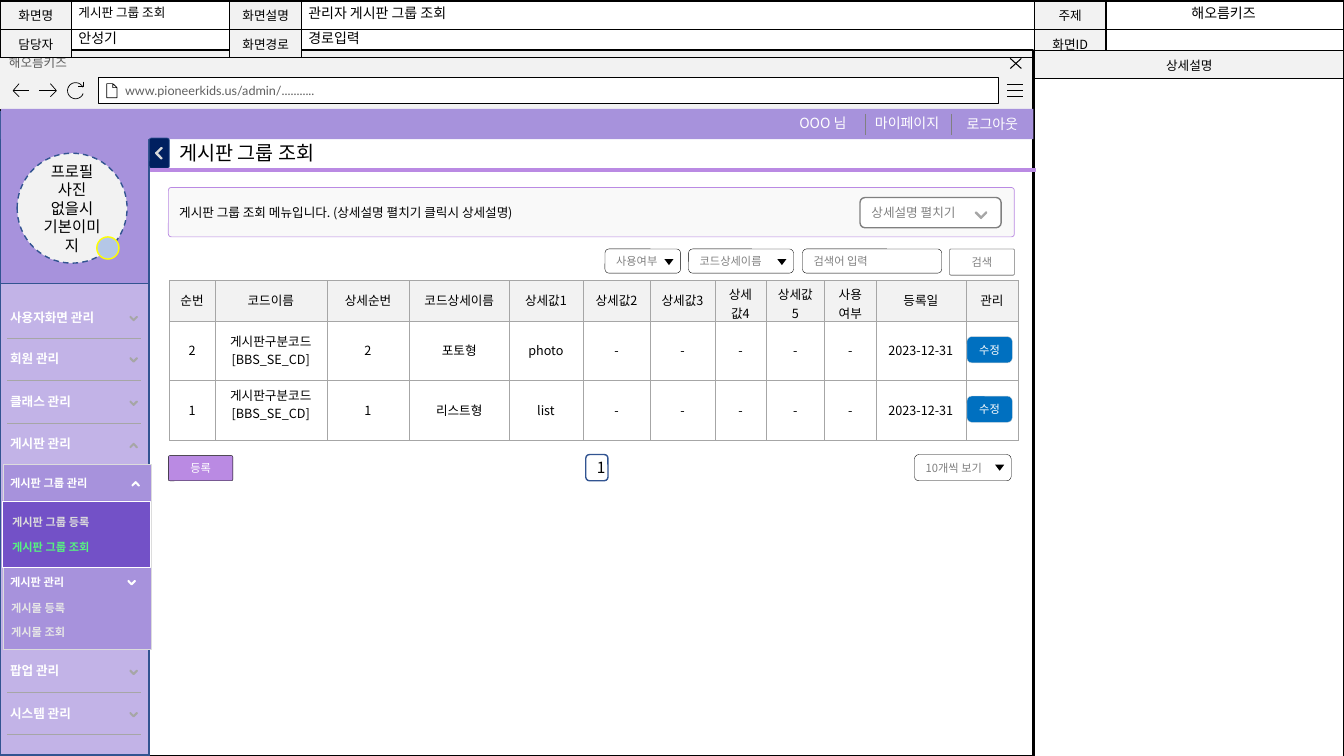
from dataclasses import dataclass
from math import cos, radians, sin
from typing import Optional

from pptx import Presentation
from pptx.dml.color import RGBColor
from pptx.enum.dml import MSO_LINE
from pptx.enum.shapes import MSO_CONNECTOR, MSO_SHAPE
from pptx.enum.text import MSO_ANCHOR, PP_ALIGN
from pptx.oxml.ns import qn
from pptx.oxml.xmlchemy import OxmlElement
from pptx.util import Inches, Pt

COLORS = {
    "black": "000000", "white": "FFFFFF", "panel": "F2F2F2", "notice": "F9F9F9",
    "dim": "5F5F5F", "gray": "808080", "rule": "A6A6A6", "chevron": "BFBFBF",
    "pale": "D9D9D9", "soft": "DCDCDC", "submenu": "E6E6E6", "navy": "002060",
    "outline": "325491", "purple": "A792DC", "lilac": "C2B3E7", "deep": "7351C7",
    "accent": "BA8AE3", "green": "57F380", "blue": "0070C0", "badge": "B4C7E7",
    "yellow": "FFFF00",
}
KOREAN = "Noto Sans CJK KR"
RECT, ROUND, OVAL = MSO_SHAPE.RECTANGLE, MSO_SHAPE.ROUNDED_RECTANGLE, MSO_SHAPE.OVAL
CHEVRON, TRIANGLE = MSO_SHAPE.CORNER, MSO_SHAPE.ISOSCELES_TRIANGLE
DOWN, UP, BACK = 315, 137, 46


@dataclass
class Style:
    size: float = 9
    color: str = "black"
    bold: bool = False
    align: PP_ALIGN = PP_ALIGN.LEFT
    anchor: MSO_ANCHOR = MSO_ANCHOR.MIDDLE
    font: str = KOREAN
    left_inset: float = 0.1


@dataclass
class Box:
    """A preset shape, or a plain text box when kind is None."""
    left: float
    top: float
    width: float
    height: float
    kind: Optional[MSO_SHAPE] = RECT
    fill: Optional[str] = None
    line: Optional[str] = None
    weight: float = 0.25
    text: str = ""
    style: Optional[Style] = None
    radius: Optional[float] = None
    rotation: float = 0
    dashed: bool = False


def rgb(name: str) -> RGBColor:
    return RGBColor.from_string(COLORS[name])


def write_text(frame, text: str, style: Style) -> None:
    for index, content in enumerate(text.split("\n")):
        paragraph = frame.paragraphs[0] if index == 0 else frame.add_paragraph()
        paragraph.alignment = style.align
        if not content:
            paragraph._p.append(OxmlElement("a:endParaRPr"))
            paragraph._p[-1].set("sz", str(int(style.size * 100)))
            continue
        run = paragraph.add_run()
        run.text = content
        run.font.size, run.font.bold = Pt(style.size), style.bold
        run.font.name = style.font
        run.font.color.rgb = rgb(style.color)
        east_asian = OxmlElement("a:ea")
        east_asian.set("typeface", style.font)
        run._r.rPr.find(qn("a:latin")).addnext(east_asian)


def draw_box(slide, box: Box) -> None:
    place = [Inches(n) for n in (box.left, box.top, box.width, box.height)]
    if box.kind is None:
        shape = slide.shapes.add_textbox(*place)
    else:
        shape = slide.shapes.add_shape(box.kind, *place)
        shape.shadow.inherit = False
        if box.fill:
            shape.fill.solid()
            shape.fill.fore_color.rgb = rgb(box.fill)
        if box.line:
            shape.line.color.rgb = rgb(box.line)
            shape.line.width = Pt(box.weight)
            if box.dashed:
                shape.line.dash_style = MSO_LINE.DASH
        else:
            shape.line.fill.background()
        if box.radius is not None:
            for index in range(len(shape.adjustments)):
                shape.adjustments[index] = box.radius
        shape.rotation = box.rotation
    if box.text:
        frame = shape.text_frame
        frame.word_wrap = True
        frame.vertical_anchor = box.style.anchor
        frame.margin_left = Inches(box.style.left_inset)
        write_text(frame, box.text, box.style)


def draw_label(slide, left, top, width, height, text: str, style: Style) -> None:
    draw_box(slide, Box(left, top, width, height, None, text=text, style=style))


def draw_chevron(slide, left, top, rotation, line="rule", size=0.05) -> None:
    draw_box(slide, Box(left, top, size, size, CHEVRON, "chevron", line, 1,
                        radius=0.12, rotation=rotation))


def draw_rule(slide, x1, y1, x2, y2, color: str) -> None:
    ends = [Inches(n) for n in (x1, y1, x2, y2)]
    connector = slide.shapes.add_connector(MSO_CONNECTOR.STRAIGHT, *ends)
    connector.line.color.rgb, connector.line.width = rgb(color), Pt(0.5)
    connector._element.spPr.append(OxmlElement("a:effectLst"))


def draw_icon(slide, strokes: list, weight: float = 0.5) -> None:
    """Draw several open strokes as one outline."""
    points = [[(Inches(x), Inches(y)) for x, y in stroke] for stroke in strokes]
    builder = slide.shapes.build_freeform(*points[0][0], scale=1.0)
    for index, stroke in enumerate(points):
        if index:
            builder.move_to(*stroke[0])
        builder.add_line_segments(stroke[1:], close=False)
    shape = builder.convert_to_shape()
    shape.shadow.inherit = False
    shape.fill.background()
    shape.line.color.rgb, shape.line.width = rgb("black"), Pt(weight)


def draw_table(slide, left, top, columns, heights, rows, style: Style,
               border: str, weight: float, fill_of):
    """fill_of(row, column) gives a colour name or None."""
    table = slide.shapes.add_table(len(rows), len(columns), Inches(left), Inches(top),
                                   Inches(sum(columns)), Inches(sum(heights))).table
    table.first_row = table.horz_banding = False
    for column, width in zip(table.columns, columns):
        column.width = Inches(width)
    for r, (height, texts) in enumerate(zip(heights, rows)):
        table.rows[r].height = Inches(height)
        for c, text in enumerate(texts):
            cell = table.cell(r, c)
            cell.vertical_anchor = style.anchor
            write_text(cell.text_frame, text, style)
            properties = cell._tc.get_or_add_tcPr()
            for side in ("lnL", "lnR", "lnT", "lnB"):
                edge = OxmlElement(f"a:{side}")
                edge.set("w", str(Pt(weight)))
                paint, color = OxmlElement("a:solidFill"), OxmlElement("a:srgbClr")
                color.set("val", COLORS[border])
                paint.append(color)
                edge.append(paint)
                properties.append(edge)
            fill = fill_of(r, c)
            if fill:
                cell.fill.solid()
                cell.fill.fore_color.rgb = rgb(fill)
            else:
                cell.fill.background()
    return table


def draw_browser(slide) -> None:
    title = Style(color="dim", font="Lato", anchor=MSO_ANCHOR.TOP)
    address = Style(color="dim", font="Lato", left_inset=0.26)
    for box in (
        Box(-0.01, 1.09, 10.26, 6.41, RECT, "white", "black", 1.5),
        Box(-0.01, 0.5, 10.26, 0.59, RECT, "panel", "black", 1.5, "해오름키즈", title),
        Box(0.98, 0.77, 8.92, 0.26, RECT, "white", "black", 0.5,
            "www.pioneerkids.us/admin/...........", address),
    ):
        draw_box(slide, box)
    draw_icon(slide, [[(9.99, y), (10.15, y)] for y in (0.84, 0.9, 0.96)])
    draw_icon(slide, [[(10.02, 0.58), (10.13, 0.68)], [(10.13, 0.58), (10.02, 0.68)]], 0.75)
    draw_icon(slide, [[(1.12, 0.83), (1.12, 0.87), (1.16, 0.87), (1.16, 0.97),
                       (1.06, 0.97), (1.06, 0.83), (1.12, 0.83), (1.16, 0.87)]])
    for tip, tail, barb in ((0.13, 0.29, 0.19), (0.56, 0.39, 0.5)):
        draw_icon(slide, [[(barb, 0.83), (tip, 0.9), (barb, 0.96)], [(tip, 0.9), (tail, 0.9)]])
    arc = [(0.75 + 0.08 * cos(radians(a)), 0.9 + 0.08 * sin(radians(a)))
           for a in range(20, 336, 15)]
    draw_icon(slide, [arc, [(0.83, 0.81), (0.83, 0.86), (0.77, 0.86)]])


def draw_frame_tables(slide) -> None:
    style = Style(align=PP_ALIGN.CENTER, anchor=MSO_ANCHOR.TOP)
    draw_table(slide, 0, 0.01, [0.71, 1.57, 0.71, 7.27, 0.71, 2.36], [0.28] * 2,
               [["화면명", "", "화면설명", "", "주제", ""],
                ["담당자", "", "화면경로", "", "화면ID", ""]],
               style, "black", 1, lambda r, c: None if c % 2 else "panel")
    draw_table(slide, 10.26, 0.5, [3.07], [0.28, 6.72], [["상세설명"], [""]],
               style, "black", 1, lambda r, c: "white" if r else "panel")


def draw_sidebar(slide) -> None:
    menu = Style(color="white", bold=True, left_inset=0.13)
    for text, top, rotation in (
        ("사용자화면 관리", 2.93, DOWN), ("회원 관리", 3.34, DOWN), ("클래스 관리", 3.77, DOWN),
        ("게시판 관리", 4.18, UP), ("팝업 관리", 6.44, DOWN), ("시스템 관리", 6.86, DOWN),
    ):
        draw_label(slide, -0.03, top, 1.5, 0.43, text, menu)
        draw_chevron(slide, 1.3, top + (0.23 if rotation == UP else 0.19), rotation)
        if rotation == DOWN:
            draw_rule(slide, 0.07, top + 0.43, 1.4, top + 0.43, "rule")
    draw_box(slide, Box(0.03, 4.61, 1.47, 1.83, RECT, "purple", "soft", 0.5))
    draw_box(slide, Box(0.02, 4.97, 1.47, 0.66, RECT, "deep", "white", 0.5))
    for text, left, top, color in (
        ("게시판 그룹 관리", -0.03, 4.66, "white"), ("게시판 그룹 등록", -0.01, 5.04, "soft"),
        ("게시판 그룹 조회", -0.01, 5.29, "green"), ("게시판 관리", -0.03, 5.64, "white"),
        ("게시물 등록", -0.02, 5.9, "submenu"), ("게시물 조회", -0.02, 6.14, "submenu"),
    ):
        draw_label(slide, left, top, 1.5, 0.27, text, Style(8, color, True, left_inset=0.13))
    draw_chevron(slide, 1.28, 5.74, DOWN, "white")
    draw_chevron(slide, 1.32, 4.79, UP, "white")


def draw_top_bar(slide) -> None:
    draw_box(slide, Box(0.01, 1.08, 10.24, 0.3, RECT, "purple"))
    link = Style(10, "white", anchor=MSO_ANCHOR.TOP)
    for text, left, top in (("로그아웃", 9.49, 1.1), ("마이페이지", 8.58, 1.09), ("OOO 님", 7.83, 1.09)):
        draw_label(slide, left, top, 0.87, 0.27, text, link)
    for x in (8.58, 9.44):
        draw_rule(slide, x, 1.13, x, 1.34, "gray")
    profile = Style(11, align=PP_ALIGN.CENTER)
    draw_box(slide, Box(0.17, 1.52, 1.09, 1.09, OVAL, "panel", "outline", 1,
                        "프로필 사진\n없을시 기본이미지", profile, dashed=True))
    draw_box(slide, Box(0.96, 2.35, 0.22, 0.22, OVAL, "badge", "yellow", 1))
    draw_box(slide, Box(1.48, 1.37, 0.2, 0.3, ROUND, "navy", "outline", 0.5, radius=0.11))
    draw_chevron(slide, 1.56, 1.48, BACK, "pale", 0.08)


def draw_headings(slide) -> None:
    for text, left, top, width, size, align in (
        ("게시판 그룹 조회", 0.68, 0, 2.03, 9, PP_ALIGN.LEFT),
        ("안성기", 0.68, 0.24, 1.59, 10, PP_ALIGN.LEFT),
        ("관리자 게시판 그룹 조회", 2.96, 0, 7.31, 10, PP_ALIGN.LEFT),
        ("경로입력", 2.96, 0.24, 7.31, 10, PP_ALIGN.LEFT),
        ("해오름키즈", 10.94, 0, 2.39, 10, PP_ALIGN.CENTER),
        ("게시판 그룹 조회", 1.68, 1.35, 2.38, 14, PP_ALIGN.LEFT),
    ):
        draw_label(slide, left, top, width, 0.27, text,
                   Style(size, align=align, anchor=MSO_ANCHOR.TOP))
    draw_box(slide, Box(1.49, 1.67, 8.78, 0.03, RECT, "accent", "accent", 1))


def draw_code_table(slide) -> None:
    header = ["순번", "코드이름", "상세순번", "코드상세이름", *(f"상세값{n}" for n in range(1, 6)),
              "사용여부", "등록일", "관리"]
    rows = [[number, "게시판구분코드\n[BBS_SE_CD]", number, name, value, *"-----", "2023-12-31", ""]
            for number, name, value in (("2", "포토형", "photo"), ("1", "리스트형", "list"))]
    columns = [0.45, 1.11, 0.82, 0.99, 0.73, 0.67, 0.64, 0.51, 0.58, 0.51, 0.89, 0.52]
    table = draw_table(slide, 1.68, 2.78, columns, [0.4, 0.59, 0.6], [header, *rows],
                       Style(align=PP_ALIGN.CENTER), "rule", 0.25,
                       lambda r, c: None if r else "panel")
    table.cell(2, 1).margin_bottom = Inches(0.17)


def draw_controls(slide) -> None:
    hint, button = Style(8, "gray"), Style(8, "white", align=PP_ALIGN.CENTER)
    for box in (
        Box(1.67, 1.86, 8.39, 0.49, ROUND, "notice", "accent", 0.5,
            "게시판 그룹 조회 메뉴입니다. (상세설명 펼치기 클릭시 상세설명)", Style(), 0.06),
        Box(8.53, 1.96, 1.4, 0.3, ROUND, "white", "gray", 1, "상세설명 펼치기", Style(color="gray")),
        Box(9.42, 2.47, 0.64, 0.26, ROUND, "white", "black", 0.25, "검색",
            Style(8, "gray", align=PP_ALIGN.CENTER), 0.04),
        Box(7.96, 2.47, 1.38, 0.24, ROUND, "white", "black", 0.25, "검색어 입력", hint),
        Box(5.81, 4.51, 0.22, 0.26, ROUND, "white", "outline", 1, "1",
            Style(11, align=PP_ALIGN.CENTER)),
        Box(1.67, 4.52, 0.64, 0.25, ROUND, "accent", "black", 0.25, "등록", button, 0.06),
    ):
        draw_box(slide, box)
    draw_chevron(slide, 9.69, 2.07, DOWN, size=0.08)
    for text, left, top, width, height in (
        ("사용여부", 6, 2.47, 0.75, 0.24), ("코드상세이름", 6.83, 2.47, 1.04, 0.24),
        ("10개씩 보기", 9.07, 4.51, 0.96, 0.26),
    ):
        draw_box(slide, Box(left, top, width, height, ROUND, "white", "black", 0.25, text, hint))
        draw_box(slide, Box(left + width - 0.16, top + 0.1, 0.09, 0.06, TRIANGLE, "black", rotation=180))
    for top in (3.34, 3.93):
        draw_box(slide, Box(9.59, top, 0.45, 0.26, ROUND, "blue", "pale", 0.25, "수정", button, 0.18))


def main() -> None:
    presentation = Presentation()
    presentation.slide_width, presentation.slide_height = Inches(13.33), Inches(7.5)
    slide = presentation.slides.add_slide(presentation.slide_layouts[6])
    draw_browser(slide)
    draw_box(slide, Box(0, 1.11, 1.48, 6.39, RECT, "purple", "outline", 1))
    draw_box(slide, Box(0, 2.81, 1.48, 4.68, RECT, "lilac", "outline", 1))
    for draw_part in (draw_frame_tables, draw_sidebar, draw_top_bar, draw_headings,
                      draw_code_table, draw_controls):
        draw_part(slide)
    presentation.save("out.pptx")


if __name__ == "__main__":
    main()
